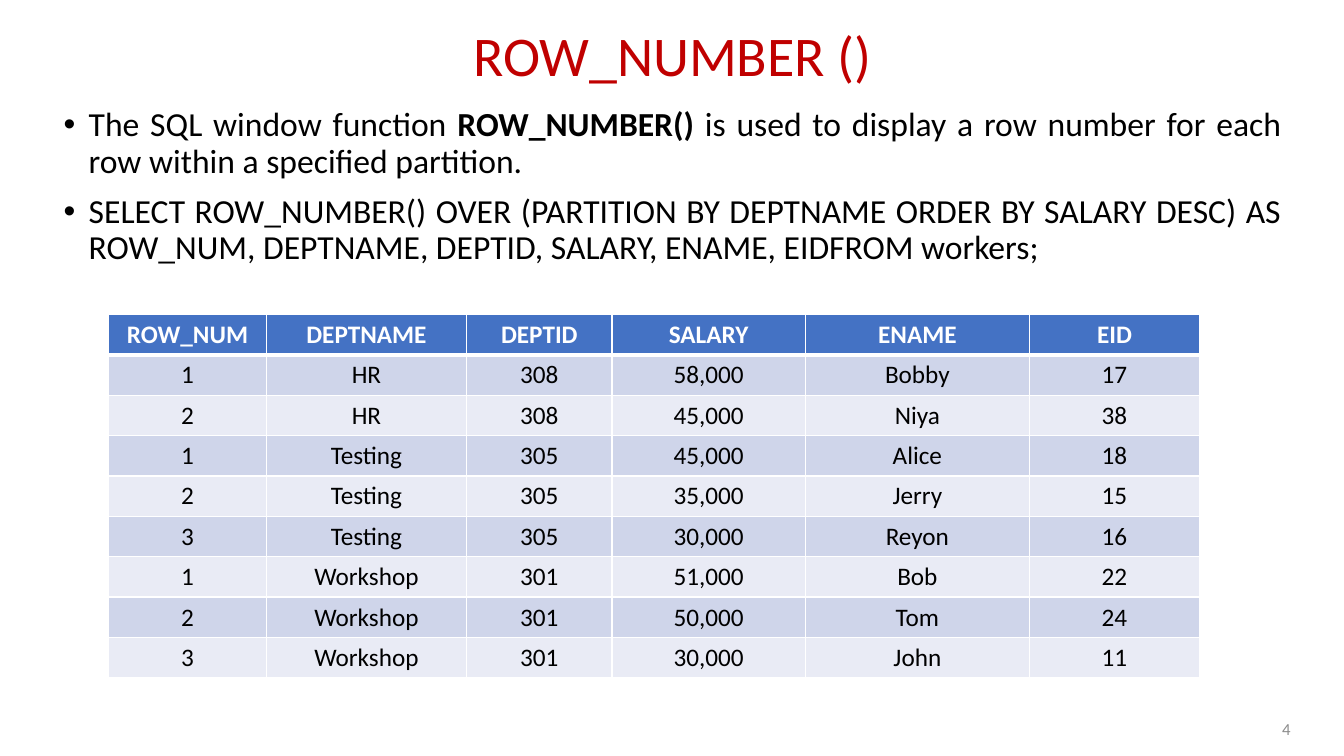
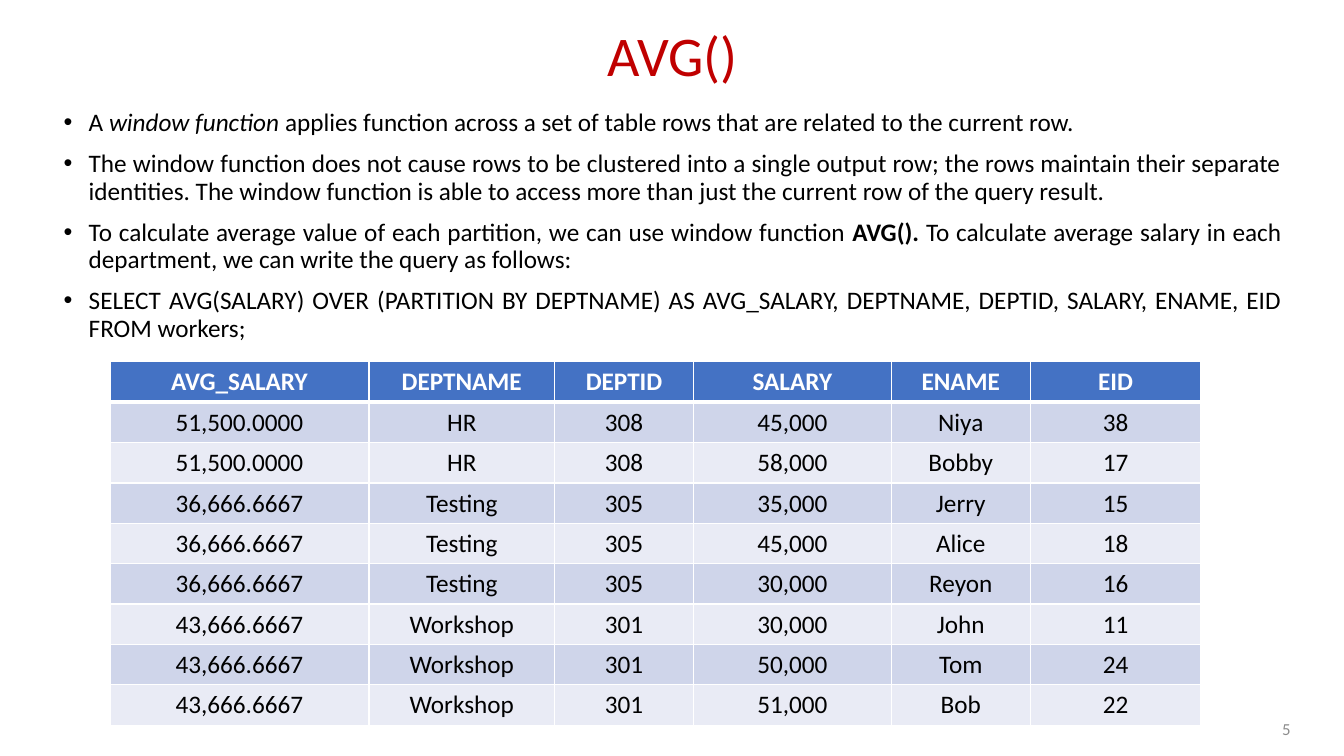
import pptx
import pptx.dml.color
import pptx.enum.text
import pptx.oxml
import pptx.oxml.ns
import pptx.util

PX = 9144  # EMU per px, 100 px to the inch
FONT = "Calibri"
COLORS = {
    "title": "C00000",
    "text": "000000",
    "number": "8C8C8C",
    "white": "FFFFFF",
    "header": "4472C4",
    "odd": "CFD5EA",
    "even": "E9EBF5",
}
ALIGN = pptx.enum.text.PP_ALIGN
ANCHOR = pptx.enum.text.MSO_ANCHOR
NO_FIT = pptx.enum.text.MSO_AUTO_SIZE.NONE

# Boxes shared by the slides: left, top, width, height
TITLE_BOX = (92, -15, 1150, 145)
NUMBER_BOX = (990, 703, 300, 40)
ROW_HEIGHT = 40
INDENT = 25

# Each bullet is a list of (text, format) runs
SLIDES = [
    {
        "title": "ROW_NUMBER ()",
        "number": "4",
        "body_box": (53, 102, 1228, 476),
        "body_size": 24,
        "bullets": [
            [("The SQL window function ", {}),
             ("ROW_NUMBER() ", {"bold": True}),
             ("is used to display a row number for each row within a "
              "specified partition.", {})],
            [("SELECT ROW_NUMBER() OVER (PARTITION BY DEPTNAME ORDER BY "
              "SALARY DESC) AS ROW_NUM, DEPTNAME, DEPTID, SALARY, ENAME, "
              "EIDFROM workers;", {})],
        ],
        "table_at": (108, 312),
        "columns": [156, 199, 144, 192, 222, 169],
        "rows": [
            ("ROW_NUM", "DEPTNAME", "DEPTID", "SALARY", "ENAME", "EID"),
            ("1", "HR", "308", "58,000", "Bobby", "17"),
            ("2", "HR", "308", "45,000", "Niya", "38"),
            ("1", "Testing", "305", "45,000", "Alice", "18"),
            ("2", "Testing", "305", "35,000", "Jerry", "15"),
            ("3", "Testing", "305", "30,000", "Reyon", "16"),
            ("1", "Workshop", "301", "51,000", "Bob", "22"),
            ("2", "Workshop", "301", "50,000", "Tom", "24"),
            ("3", "Workshop", "301", "30,000", "John", "11"),
        ],
    },
    {
        "title": "AVG()",
        "number": "5",
        "body_box": (53, 104, 1228, 476),
        "body_size": 18,
        "bullets": [
            [("A ", {}),
             ("window function ", {"italic": True}),
             ("applies function across a set of table rows that are related "
              "to the current row.", {})],
            [("The window function does not cause rows to be clustered into "
              "a single output row; the rows maintain their separate "
              "identities. The window function is able to access more than "
              "just the current row of the query result.", {})],
            [("To calculate average value of each partition, we can use "
              "window function ", {}),
             ("AVG(). ", {"bold": True}),
             ("To calculate average salary in each department, we can write "
              "the query as follows:", {})],
            [("SELECT AVG(SALARY) OVER (PARTITION BY DEPTNAME) AS "
              "AVG_SALARY, DEPTNAME, DEPTID, SALARY, ENAME, EID FROM "
              "workers;", {})],
        ],
        "table_at": (109, 359),
        "columns": [257, 184, 138, 196, 138, 169],
        "rows": [
            ("AVG_SALARY", "DEPTNAME", "DEPTID", "SALARY", "ENAME", "EID"),
            ("51,500.0000", "HR", "308", "45,000", "Niya", "38"),
            ("51,500.0000", "HR", "308", "58,000", "Bobby", "17"),
            ("36,666.6667", "Testing", "305", "35,000", "Jerry", "15"),
            ("36,666.6667", "Testing", "305", "45,000", "Alice", "18"),
            ("36,666.6667", "Testing", "305", "30,000", "Reyon", "16"),
            ("43,666.6667", "Workshop", "301", "30,000", "John", "11"),
            ("43,666.6667", "Workshop", "301", "50,000", "Tom", "24"),
            ("43,666.6667", "Workshop", "301", "51,000", "Bob", "22"),
        ],
    },
]


def emu(lengths):
    return [n * PX for n in lengths]


def rgb(name):
    return pptx.dml.color.RGBColor.from_string(COLORS[name])


def set_attrs(obj, values):
    for name, value in values.items():
        setattr(obj, name, value)


def place(sp, box):
    set_attrs(sp, dict(zip(("left", "top", "width", "height"), emu(box))))


def add_run(p, text, size, color, **extra):
    r = p.add_run()
    r.text = text
    set_attrs(r.font, {"name": FONT, "size": pptx.util.Pt(size), **extra})
    r.font.color.rgb = rgb(color)


def add_xml(parent, xml):
    ns = pptx.oxml.ns.nsdecls("a")
    parent.append(pptx.oxml.parse_xml(xml.replace("NS", ns, 1)))


# Title and slide number
def add_title(s, box, text):
    sp = s.shapes.title
    place(sp, box)
    tf = sp.text_frame
    set_attrs(tf, {"auto_size": NO_FIT, "word_wrap": True,
                   "vertical_anchor": ANCHOR.MIDDLE})
    p = tf.paragraphs[0]
    set_attrs(p, {"alignment": ALIGN.CENTER, "line_spacing": 0.9})
    add_run(p, text, 40, "title")


def add_number(s, box, text):
    tf = s.shapes.add_textbox(*emu(box)).text_frame
    set_attrs(tf, {"word_wrap": True, "vertical_anchor": ANCHOR.MIDDLE})
    p = tf.paragraphs[0]
    p.alignment = ALIGN.RIGHT
    add_run(p, text, 12, "number")


# Bulleted body
def add_body(s, box, bullets, size):
    sp = s.placeholders[1]
    place(sp, box)
    tf = sp.text_frame
    set_attrs(tf, {"auto_size": NO_FIT, "word_wrap": True})
    for i, runs in enumerate(bullets):
        p = tf.add_paragraph() if i else tf.paragraphs[0]
        pPr = p._p.get_or_add_pPr()
        pPr.set("marL", str(INDENT * PX))
        pPr.set("indent", str(-INDENT * PX))
        add_xml(pPr, '<a:buFont NS typeface="Arial"/>')
        add_xml(pPr, '<a:buChar NS char="•"/>')
        set_attrs(p, {"alignment": ALIGN.JUSTIFY, "line_spacing": 0.9,
                      "space_before": pptx.util.Pt(10 if i else 0)})
        for text, extra in runs:
            add_run(p, text, size, "text", **extra)


# Query result table
def style_cell(cell, text, row):
    header = row == 0
    widths = {"L": 1, "R": 1, "T": 3 if row == 1 else 1,
              "B": 3 if header else 1}
    tcPr = cell._tc.get_or_add_tcPr()
    for side, width in widths.items():
        add_xml(tcPr, f'<a:ln{side} NS w="{pptx.util.Pt(width)}"><a:solidFill>'
                      f'<a:srgbClr val="{COLORS["white"]}"/></a:solidFill>'
                      f'</a:ln{side}>')
    cell.fill.solid()
    fill = "header" if header else "odd" if row % 2 else "even"
    cell.fill.fore_color.rgb = rgb(fill)
    p = cell.text_frame.paragraphs[0]
    p.alignment = ALIGN.CENTER
    add_run(p, text, 18, "white" if header else "text", bold=header)


def add_result(s, at, columns, rows):
    box = (*at, sum(columns), ROW_HEIGHT * len(rows))
    frame = s.shapes.add_table(len(rows), len(columns), *emu(box))
    table = frame.table
    for column, width in zip(table.columns, columns):
        column.width = width * PX
    for i, row in enumerate(rows):
        for j, text in enumerate(row):
            style_cell(table.cell(i, j), text, i)


def add_function_slide(prs, data):
    s = prs.slides.add_slide(prs.slide_layouts[1])
    add_title(s, TITLE_BOX, data["title"])
    add_number(s, NUMBER_BOX, data["number"])
    add_body(s, data["body_box"], data["bullets"], data["body_size"])
    add_result(s, data["table_at"], data["columns"], data["rows"])


def main():
    prs = pptx.Presentation()
    prs.slide_width, prs.slide_height = emu((1333, 750))
    for data in SLIDES:
        add_function_slide(prs, data)
    prs.save("out.pptx")


if __name__ == "__main__":
    main()
